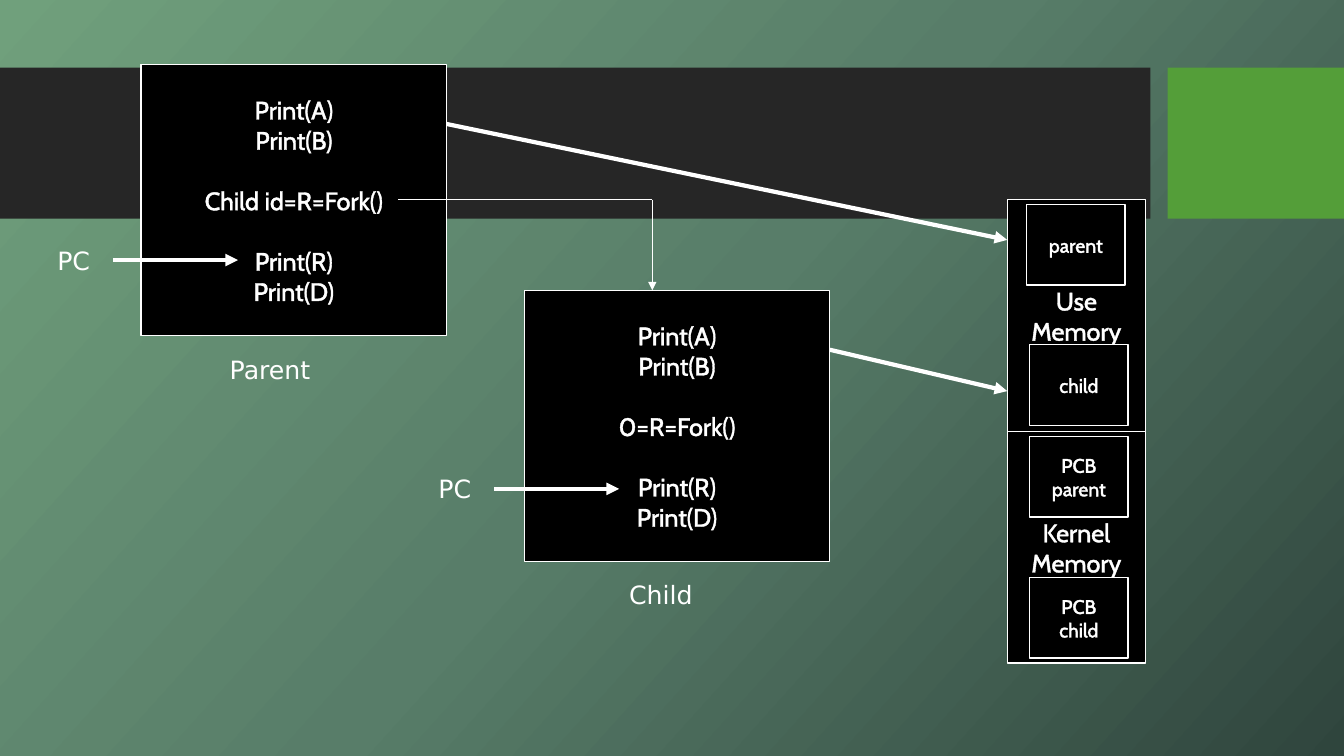
"""Build a slide showing how fork() duplicates a process in memory."""
from dataclasses import dataclass

from lxml import etree
from pptx import Presentation
from pptx.dml.color import RGBColor
from pptx.enum.shapes import MSO_CONNECTOR, MSO_SHAPE
from pptx.enum.text import MSO_ANCHOR, MSO_AUTO_SIZE, PP_ALIGN
from pptx.oxml.ns import qn
from pptx.util import Inches, Pt

RECTANGLE = MSO_SHAPE.RECTANGLE
STRAIGHT = MSO_CONNECTOR.STRAIGHT
MIDDLE = MSO_ANCHOR.MIDDLE
CENTER = PP_ALIGN.CENTER
LEFT = PP_ALIGN.LEFT
GROW = MSO_AUTO_SIZE.SHAPE_TO_FIT_TEXT

WHITE = "FFFFFF"
BLACK = "000000"
GRADIENT = [(0, "70A07C"), (50, "587D69"), (100, "2F453D")]
GRADIENT_ANGLE = 42
BLOCK_GAP = 21.6


@dataclass
class Box:
    """A filled rectangle, with blocks of centred lines and an optional outline."""

    left: float
    top: float
    width: float
    height: float
    blocks: tuple[str, ...] = ()
    size: float = 18
    fill: str = BLACK
    outline: str | None = WHITE


@dataclass
class Label:
    """A free text label."""

    left: float
    top: float
    text: str


@dataclass
class Line:
    """A straight line, with an optional arrowhead at its end."""

    start: tuple[float, float]
    end: tuple[float, float]
    weight: float = 3
    arrow: bool = True


def code_box(left, top, fork_line) -> Box:
    """Describe the program box of one process."""
    blocks = ("Print(A)\nPrint(B)", fork_line, "Print(R)\nPrint(D)")
    return Box(left, top, 3.03, 2.69, blocks)


def memory_box(row: int, text: str) -> Box:
    """Describe one of the two stacked memory areas."""
    return Box(9.99, 1.98 + 2.3 * row, 1.37, 2.3, (text,))


def entry_box(left: float, top: float, text: str) -> Box:
    """Describe one entry stored in a memory area."""
    return Box(left, top, 0.98, 0.8, (text,), size=14)


ITEMS = [
    Box(0, 0.67, 11.41, 1.5, fill="262626", outline=None),
    Box(11.58, 0.67, 1.75, 1.5, fill="549E39", outline=None),
    code_box(1.4, 0.64, "Child id=R=Fork()"),
    code_box(5.2, 2.88, "0=R=Fork()"),
    Line((3.95, 1.98), (6.47, 1.98), weight=0.75, arrow=False),
    Line((6.47, 1.98), (6.47, 2.88), weight=0.75),
    Label(2.18, 3.47, "Parent"),
    Label(6.14, 5.7, "Child"),
    Line((1.12, 2.58), (2.36, 2.58)),
    Line((4.9, 4.85), (6.14, 4.85)),
    Label(0.47, 2.38, "PC"),
    Label(4.25, 4.65, "PC"),
    memory_box(0, "Use Memory"),
    memory_box(1, "Kernel Memory"),
    Line((4.43, 1.23), (9.99, 2.38)),
    Line((8.23, 3.47), (9.99, 3.88)),
    entry_box(10.18, 2.03, "parent"),
    entry_box(10.21, 3.42, "child"),
    entry_box(10.21, 4.33, "PCB\nparent"),
    entry_box(10.21, 5.73, "PCB\nchild"),
]


def color(value: str) -> RGBColor:
    """Turn a hex string into a colour."""
    return RGBColor.from_string(value)


def add_solid_fill(parent, value: str) -> None:
    """Append a solid fill to an XML element."""
    fill = etree.SubElement(parent, qn("a:solidFill"))
    etree.SubElement(fill, qn("a:srgbClr"), val=value)


def paint_background(page) -> None:
    """Give the slide its diagonal gradient."""
    fill = page.background.fill
    fill.gradient()
    fill.gradient_angle = 360 - GRADIENT_ANGLE
    stops = page.element.find(".//" + qn("a:gsLst"))
    for stop in list(stops):
        stops.remove(stop)
    for percent, value in GRADIENT:
        stop = etree.SubElement(stops, qn("a:gs"), pos=str(percent * 1000))
        etree.SubElement(stop, qn("a:srgbClr"), val=value)


def write(para, text: str, *, size: float, font: str, align, outlined: bool) -> None:
    """Add one formatted span to a paragraph."""
    para.alignment = align
    span = para.add_run()
    span.text = text
    span.font.size = Pt(size)
    span.font.name = font
    span.font.color.rgb = color(WHITE)
    if outlined:
        edge = etree.Element(qn("a:ln"), w=str(Pt(0.75)))
        add_solid_fill(edge, WHITE)
        span.font._element.insert(0, edge)


def draw_box(page, box: Box) -> None:
    """Draw a rectangle and its blocks of lines."""
    bounds = (Inches(n) for n in (box.left, box.top, box.width, box.height))
    shape = page.shapes.add_shape(RECTANGLE, *bounds)
    shape.shadow.inherit = False
    shape.fill.solid()
    shape.fill.fore_color.rgb = color(box.fill)
    if box.outline:
        shape.line.color.rgb = color(box.outline)
        shape.line.width = Pt(1)
    else:
        shape.line.fill.background()
    frame = shape.text_frame
    frame.word_wrap = True
    frame.vertical_anchor = MIDDLE
    para = None
    for block in box.blocks:
        for row, text in enumerate(block.split("\n")):
            starts_later_block = para is not None and row == 0
            para = frame.paragraphs[0] if para is None else frame.add_paragraph()
            if starts_later_block:
                para.space_before = Pt(BLOCK_GAP)
            write(para, text, size=box.size, font="Cabin", align=CENTER, outlined=True)


def draw_label(page, label: Label) -> None:
    """Draw a text label."""
    bounds = (Inches(n) for n in (label.left, label.top, 1.52, 0.4))
    frame = page.shapes.add_textbox(*bounds).text_frame
    frame.word_wrap = True
    frame.auto_size = GROW
    write(frame.paragraphs[0], label.text, size=18, font="DejaVu Sans",
          align=LEFT, outlined=False)


def draw_line(page, line: Line) -> None:
    """Draw a line or arrow."""
    points = (Inches(n) for n in line.start + line.end)
    connector = page.shapes.add_connector(STRAIGHT, *points)
    connector.line.color.rgb = color(WHITE)
    connector.line.width = Pt(line.weight)
    properties = connector._element.spPr
    if line.arrow:
        edge = properties.find(qn("a:ln"))
        etree.SubElement(edge, qn("a:tailEnd"), type="triangle")
    etree.SubElement(properties, qn("a:effectLst"))


def main() -> None:
    """Build and save the deck."""
    deck = Presentation()
    deck.slide_width = Inches(13.33)
    deck.slide_height = Inches(7.5)
    page = deck.slides.add_slide(deck.slide_layouts[6])
    paint_background(page)
    drawers = {Box: draw_box, Label: draw_label, Line: draw_line}
    for item in ITEMS:
        drawers[type(item)](page, item)
    deck.save("out.pptx")


if __name__ == "__main__":
    main()
